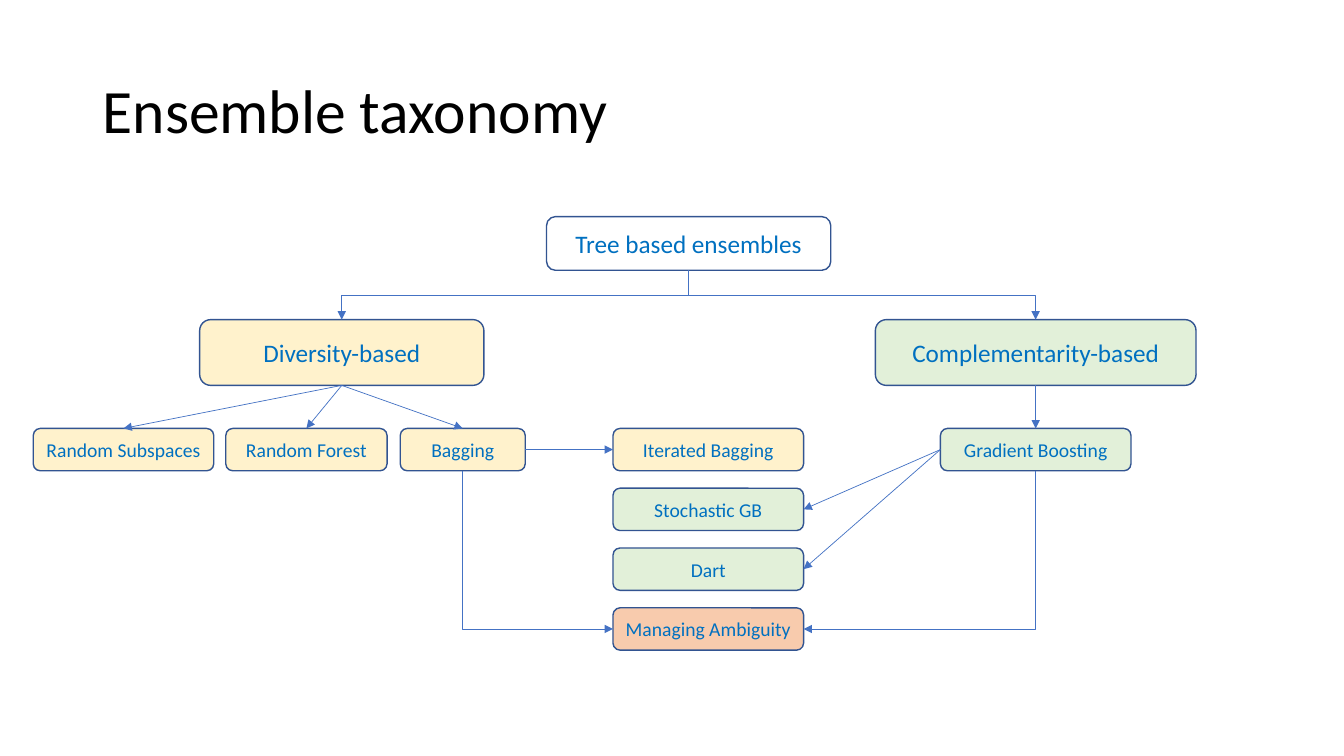
"""Build the ensemble taxonomy slide."""
from lxml.etree import SubElement
from pptx import Presentation
from pptx.dml.color import RGBColor as Rgb
from pptx.enum.shapes import MSO_CONNECTOR as Link, MSO_SHAPE as Preset
from pptx.enum.text import MSO_ANCHOR as Anchor, PP_ALIGN as Align
from pptx.oxml.ns import qn
from pptx.util import Inches, Pt

SLIDE_W, SLIDE_H = Inches(13.33), Inches(7.5)
COLOURS = {
    "title": "000000", "label": "0070C0", "border": "325491", "arrow": "4472C4",
    "root": "FFFFFF", "diversity": "FFF2CC", "complementarity": "E2F0D9", "mixed": "F8CBAD",
}
TITLE_FORMAT = {"name": "Calibri", "size": Pt(44)}
BRANCH_FORMAT = {"name": "Calibri", "size": Pt(18)}
METHOD_FORMAT = {"name": "Calibri", "size": Pt(14)}
TOP, LEFT, BOTTOM, RIGHT = range(4)

COLUMNS = {"subspaces": 9.19, "forest": 22.8, "diversity": 25.43, "bagging": 34.43,
           "root": 51.24, "variants": 52.7, "complementarity": 77.06}
METHOD_ROW, METHOD_STEP, METHOD_H = 59.47, 7.91, 5.6
ROWS = {"root": (32.2, 7.1), "branch": (46.63, 8.7)}
ROWS.update({level: (METHOD_ROW + level * METHOD_STEP, METHOD_H) for level in range(4)})

NODES = [
    ("Tree based ensembles", "root", "root", 21.15, "root"),
    ("Diversity-based", "diversity", "branch", 21.15, "diversity"),
    ("Complementarity-based", "complementarity", "branch", 23.86, "complementarity"),
    ("Random Subspaces", "subspaces", 0, 13.43, "diversity"),
    ("Random Forest", "forest", 0, 12, "diversity"),
    ("Bagging", "bagging", 0, 9.3, "diversity"),
    ("Gradient Boosting", "complementarity", 0, 14.18, "complementarity"),
    ("Iterated Bagging", "variants", 0, 14.18, "diversity"),
    ("Stochastic GB", "variants", 1, 14.18, "complementarity"),
    ("Dart", "variants", 2, 14.18, "complementarity"),
    ("Managing Ambiguity", "variants", 3, 14.18, "mixed"),
]
STRAIGHT_LINKS = [
    ("Diversity-based", BOTTOM, "Random Subspaces", TOP),
    ("Diversity-based", BOTTOM, "Random Forest", TOP),
    ("Diversity-based", BOTTOM, "Bagging", TOP),
    ("Complementarity-based", BOTTOM, "Gradient Boosting", TOP),
    ("Bagging", RIGHT, "Iterated Bagging", LEFT),
    ("Gradient Boosting", LEFT, "Stochastic GB", RIGHT),
    ("Gradient Boosting", LEFT, "Dart", RIGHT),
]
BENT_LINKS = [
    ("Tree based ensembles", "Diversity-based", TOP),
    ("Tree based ensembles", "Complementarity-based", TOP),
    ("Gradient Boosting", "Managing Ambiguity", RIGHT),
    ("Bagging", "Managing Ambiguity", LEFT),
]


def across(percent):
    """Return a share of the slide width."""
    return round(SLIDE_W * percent / 100)


def down(percent):
    """Return a share of the slide height."""
    return round(SLIDE_H * percent / 100)


def write(frame, wording, formats, colour):
    """Write one vertically centred paragraph and return it."""
    frame.word_wrap = True
    frame.vertical_anchor = Anchor.MIDDLE
    paragraph = frame.paragraphs[0]
    run = paragraph.add_run()
    run.text = wording
    for attribute, value in formats.items():
        setattr(run.font, attribute, value)
    run.font.color.rgb = Rgb.from_string(COLOURS[colour])
    return paragraph


def add_title(slide, wording):
    """Add the slide heading."""
    heading = slide.shapes.add_textbox(across(6.9), down(5.33), across(86.27), down(19.33))
    write(heading.text_frame, wording, TITLE_FORMAT, "title").line_spacing = 0.9


def add_node(slide, wording, column, row, width, family):
    """Add a rounded box centred on its column and row."""
    middle, height = ROWS[row]
    node = slide.shapes.add_shape(
        Preset.ROUNDED_RECTANGLE, across(COLUMNS[column] - width / 2),
        down(middle - height / 2), across(width), down(height))
    node.shadow.inherit = False
    if family == "root":
        node.fill.background()
    else:
        node.fill.solid()
        node.fill.fore_color.rgb = Rgb.from_string(COLOURS[family])
    node.line.color.rgb = Rgb.from_string(COLOURS["border"])
    node.line.width = Pt(1)
    formats = BRANCH_FORMAT if row in ("root", "branch") else METHOD_FORMAT
    write(node.text_frame, wording, formats, "label").alignment = Align.CENTER
    return node


def site(node, side):
    """Return the middle point of one side of a node."""
    x = {LEFT: node.left, RIGHT: node.left + node.width}.get(side, node.left + node.width // 2)
    y = {TOP: node.top, BOTTOM: node.top + node.height}.get(side, node.top + node.height // 2)
    return x, y


def style_arrow(arrow):
    """Give a connector its colour, width and arrowhead."""
    arrow.line.color.rgb = Rgb.from_string(COLOURS["arrow"])
    arrow.line.width = Pt(0.5)
    SubElement(arrow.line._get_or_add_ln(), qn("a:tailEnd"), type="triangle")
    SubElement(arrow._element.spPr, qn("a:effectLst"))


def add_straight_arrow(slide, parent, start_side, child, end_side):
    """Join two nodes with a straight arrow."""
    arrow = slide.shapes.add_connector(
        Link.STRAIGHT, *site(parent, start_side), *site(child, end_side))
    arrow.begin_connect(parent, start_side)
    arrow.end_connect(child, end_side)
    style_arrow(arrow)


def add_bent_arrow(slide, parent, child, end_side):
    """Join two nodes with an elbow that leaves the parent downwards."""
    (start_x, start_y), (end_x, end_y) = site(parent, BOTTOM), site(child, end_side)
    middle_x, middle_y = (start_x + end_x) // 2, (start_y + end_y) // 2
    rightward = end_x > start_x
    half_run, half_drop = abs(end_x - start_x) // 2, (end_y - start_y) // 2
    reach = -half_drop if rightward else half_drop
    arrow = slide.shapes.add_connector(
        Link.ELBOW, middle_x - reach, middle_y - half_run,
        middle_x + reach, middle_y + half_run)
    properties = arrow._element.spPr
    properties.find(qn("a:xfrm")).set("rot", str((270 if rightward else 90) * 60000))
    bend = "bentConnector3" if end_side == TOP else "bentConnector2"
    properties.find(qn("a:prstGeom")).set("prst", bend)
    style_arrow(arrow)


def main():
    """Build and save the slide."""
    deck = Presentation()
    deck.slide_width, deck.slide_height = SLIDE_W, SLIDE_H
    slide = deck.slides.add_slide(deck.slide_layouts[6])
    add_title(slide, "Ensemble taxonomy")
    nodes = {entry[0]: add_node(slide, *entry) for entry in NODES}
    for parent, start_side, child, end_side in STRAIGHT_LINKS:
        add_straight_arrow(slide, nodes[parent], start_side, nodes[child], end_side)
    for parent, child, end_side in BENT_LINKS:
        add_bent_arrow(slide, nodes[parent], nodes[child], end_side)
    deck.save("out.pptx")


if __name__ == "__main__":
    main()
